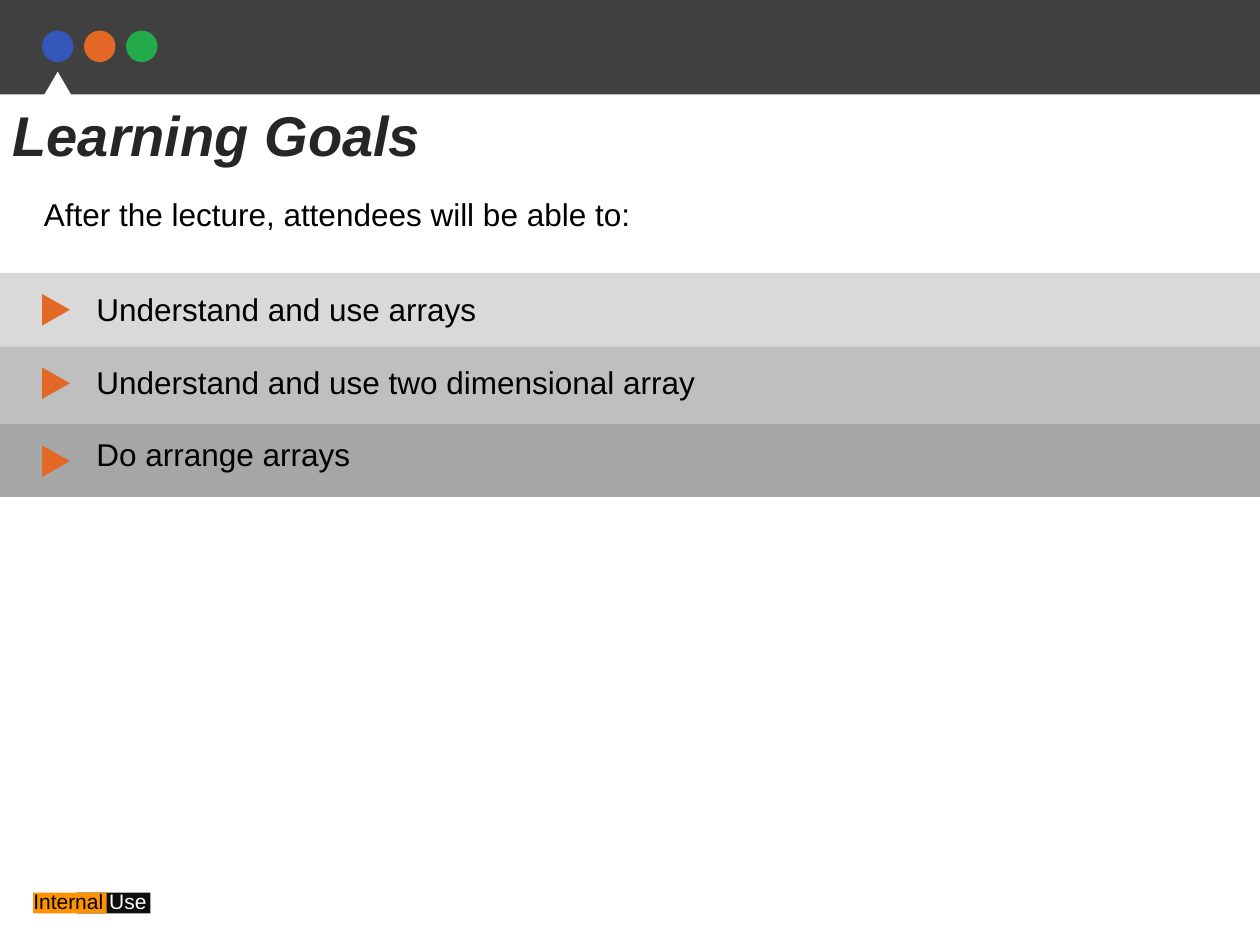
"""Build the Learning Goals slide with its header, goal bands and usage label."""

from dataclasses import dataclass

from pptx import Presentation
from pptx.dml.color import RGBColor as Color
from pptx.enum.shapes import MSO_SHAPE as Preset
from pptx.enum.text import MSO_ANCHOR as Anchor, PP_ALIGN as Align
from pptx.shapes.autoshape import Shape
from pptx.slide import Slide
from pptx.text.text import TextFrame
from pptx.util import Pt


@dataclass(frozen=True)
class Theme:
    font: str = "Arial"
    header: str = "404040"
    white: str = "FFFFFF"
    black: str = "000000"
    title: str = "262626"
    blue: str = "3357BB"
    orange: str = "E46825"
    green: str = "23AA4A"
    label_dark: str = "0D0D0D"
    label_bright: str = "FD9203"
    title_size: float = 32
    body_size: float = 18
    label_size: float = 12


@dataclass(frozen=True)
class Box:
    left: float
    top: float
    width: float
    height: float

    def lengths(self) -> tuple[Pt, Pt, Pt, Pt]:
        return Pt(self.left), Pt(self.top), Pt(self.width), Pt(self.height)


@dataclass(frozen=True)
class TextRun:
    text: str
    size: float
    color: str
    emphasis: bool = False


@dataclass(frozen=True)
class Goal:
    text: str
    fill: str
    top: float
    height: float
    text_top: float
    marker_top: float
    text_width: float = 642


THEME = Theme()
SLIDE_WIDTH, SLIDE_HEIGHT = 720, 540
DOT_SIZE, DOT_STEP = 18, 24
LABEL_TOP, LABEL_WIDTH, LABEL_HEIGHT = 510, 42, 12
GOALS = (
    Goal("Understand and use arrays", "D9D9D9", 156, 42, 162, 169, 696),
    Goal("Understand and use two dimensional array", "BFBFBF", 198, 44, 204, 211),
    Goal("Do arrange arrays", "A6A6A6", 242, 42, 245, 255.5),
)


def add_block(slide: Slide, preset: Preset, box: Box, fill: str, rotation: float = 0) -> Shape:
    shape = slide.shapes.add_shape(preset, *box.lengths())
    shape.shadow.inherit = False
    shape.fill.solid()
    shape.fill.fore_color.rgb = Color.from_string(fill)
    shape.line.fill.background()
    shape.rotation = rotation
    return shape


def write_runs(frame: TextFrame, runs: tuple[TextRun, ...]) -> None:
    frame.word_wrap = True
    frame.vertical_anchor = Anchor.TOP
    paragraph = frame.paragraphs[0]
    paragraph.alignment = Align.LEFT
    for item in runs:
        run = paragraph.add_run()
        run.text = item.text
        run.font.name = THEME.font
        run.font.size = Pt(item.size)
        run.font.bold = run.font.italic = item.emphasis
        run.font.color.rgb = Color.from_string(item.color)


def add_text(slide: Slide, box: Box, *runs: TextRun) -> None:
    write_runs(slide.shapes.add_textbox(*box.lengths()).text_frame, runs)


def add_header(slide: Slide) -> None:
    add_block(slide, Preset.RECTANGLE, Box(0, 0, SLIDE_WIDTH, 54), THEME.header)
    for position, color in enumerate((THEME.blue, THEME.orange, THEME.green), start=1):
        dot = Box(position * DOT_STEP, 17.5, DOT_SIZE, DOT_SIZE)
        add_block(slide, Preset.OVAL, dot, color)
    add_block(slide, Preset.ISOSCELES_TRIANGLE, Box(12, 41, 42, 36), THEME.white)


def add_usage_label(slide: Slide) -> None:
    for left, color in ((44, THEME.label_dark), (19, THEME.label_bright)):
        box = Box(left, LABEL_TOP, LABEL_WIDTH, LABEL_HEIGHT)
        add_block(slide, Preset.RECTANGLE, box, color)
    add_text(
        slide,
        Box(12, 504, 108, 22),
        TextRun("Internal ", THEME.label_size, THEME.black),
        TextRun("Use", THEME.label_size, THEME.white),
    )


def place_title(slide: Slide) -> None:
    title = slide.shapes.title
    title.left, title.top, title.width, title.height = Box(0, 54, 336, 46).lengths()
    run = TextRun("Learning Goals", THEME.title_size, THEME.title, emphasis=True)
    write_runs(title.text_frame, (run,))
    title.element.getparent().append(title.element)


def add_goal(slide: Slide, goal: Goal) -> None:
    add_block(slide, Preset.RECTANGLE, Box(0, goal.top, SLIDE_WIDTH, goal.height), goal.fill)
    marker = Box(23, goal.marker_top, 18, 16)
    add_block(slide, Preset.ISOSCELES_TRIANGLE, marker, THEME.orange, rotation=90)
    text_box = Box(48, goal.text_top, goal.text_width, 29)
    add_text(slide, text_box, TextRun(goal.text, THEME.body_size, THEME.black))


def main() -> None:
    presentation = Presentation()
    presentation.slide_width, presentation.slide_height = Pt(SLIDE_WIDTH), Pt(SLIDE_HEIGHT)
    layout = presentation.slide_layouts.get_by_name("Title Only")
    slide = presentation.slides.add_slide(layout)
    add_header(slide)
    add_usage_label(slide)
    place_title(slide)
    intro = TextRun("After the lecture, attendees will be able to:", THEME.body_size, THEME.black)
    add_text(slide, Box(18, 108, 504, 36), intro)
    for goal in GOALS:
        add_goal(slide, goal)
    presentation.save("out.pptx")


if __name__ == "__main__":
    main()
